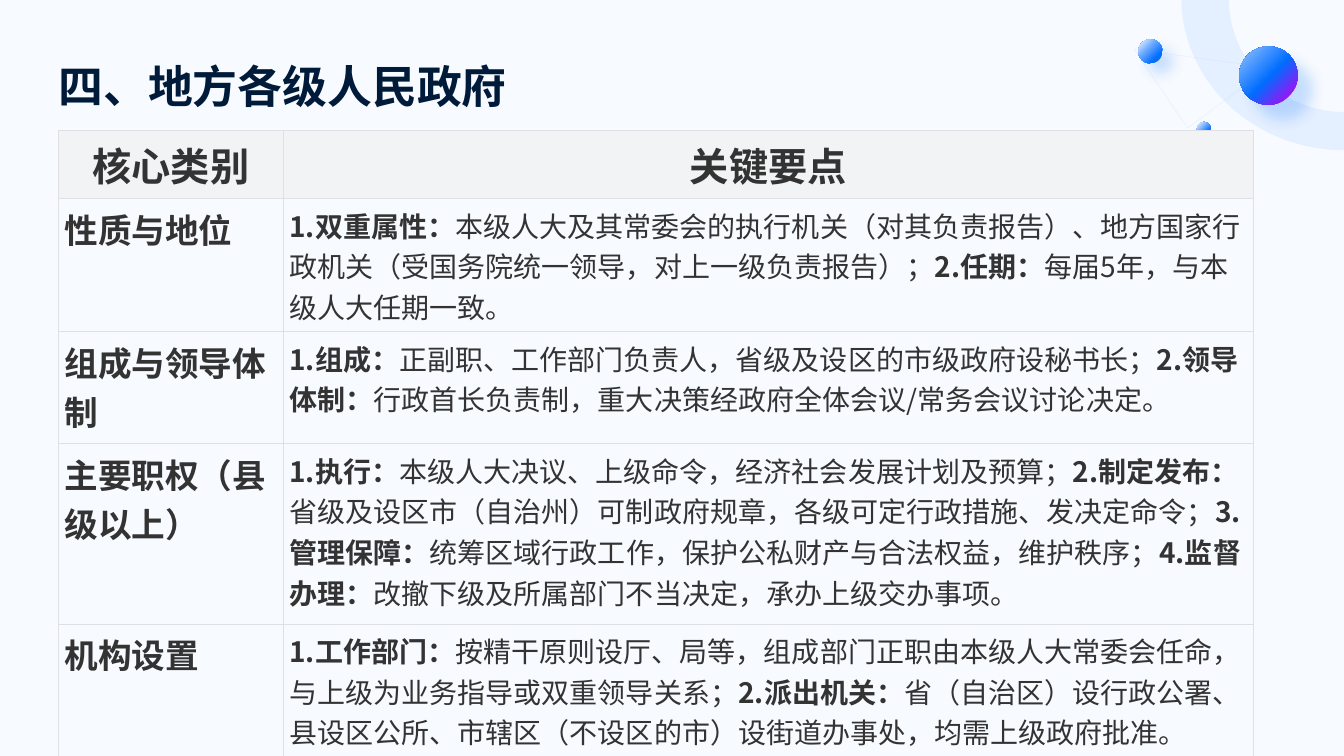
from pptx import Presentation
from pptx.dml.color import RGBColor
from pptx.enum.shapes import MSO_SHAPE
from pptx.enum.text import MSO_ANCHOR, PP_ALIGN
from pptx.oxml import parse_xml
from pptx.oxml.ns import nsdecls, qn
from pptx.util import Inches, Pt

OVAL, RECTANGLE = MSO_SHAPE.OVAL, MSO_SHAPE.RECTANGLE
LEFT, CENTER = PP_ALIGN.LEFT, PP_ALIGN.CENTER
BOTTOM = MSO_ANCHOR.BOTTOM
FONT = "Noto Sans CJK SC"
COLORS = {
    "page": "F7FAFF", "title": "001A3A", "text": "333333",
    "header": "F2F3F5", "border": "DEE0E3", "ring": "99C5FF",
    "pale": "CCE2FF", "sky": "67A8FF", "blue": "016EFF", "purple": "9618F4",
}
NS = nsdecls("a")


def write(frame, *texts, size, color="text", align=LEFT):
    frame.word_wrap = True
    para = frame.paragraphs[0]
    para.alignment = align
    for index, text in enumerate(texts):
        span = para.add_run()
        span.text = text
        font = span.font
        font.name, font.size = FONT, Pt(size)
        font.bold = index % 2 == 0
        font.color.rgb = RGBColor.from_string(COLORS[color])
        span._r.get_or_add_rPr().append(parse_xml(f'<a:ea {NS} typeface="{FONT}"/>'))


def curve(start, first, second, end, steps=32):
    points = []
    for step in range(steps + 1):
        t = step / steps
        weights = ((1 - t) ** 3, 3 * t * (1 - t) ** 2, 3 * t ** 2 * (1 - t), t ** 3)
        points.append(tuple(
            sum(weight * point[axis] for weight, point in zip(weights, (start, first, second, end)))
            for axis in (0, 1)))
    return points


deck = Presentation()
deck.slide_width, deck.slide_height = Inches(13.33), Inches(7.5)
page = deck.slides.add_slide(deck.slide_layouts[6])

backdrop = page.shapes.add_shape(RECTANGLE, 0, 0, deck.slide_width, deck.slide_height)
backdrop.shadow.inherit = False
backdrop.fill.solid()
backdrop.fill.fore_color.rgb = RGBColor.from_string(COLORS["page"])
backdrop.line.fill.background()

triangle = [(11.25, 0.49), (12.58, 0.67), (11.78, 1.27)]
ring = [(11.72, 0), (12.19, 0)]
ring += curve((12.19, 0.05), (12.22, 0.62), (12.69, 1.08), (13.28, 1.11))
ring += [(13.33, 1.11), (13.33, 1.49)]
ring += curve((13.26, 1.49), (12.43, 1.45), (11.77, 0.84), (11.72, 0.07))

for outline, filled in ((triangle, False), (ring, True)):
    points = [(Inches(x), Inches(y)) for x, y in outline]
    builder = page.shapes.build_freeform(*points[0])
    builder.add_line_segments(points[1:], close=True)
    shape = builder.convert_to_shape()
    shape.shadow.inherit = False
    if filled:
        shape.line.fill.background()
        paint, color, alpha = shape.fill, "ring", 20
    else:
        shape.fill.background()
        shape.line.width = Pt(0.25)
        paint, color, alpha = shape.line.fill, "pale", 50
    paint.solid()
    paint.fore_color.rgb = RGBColor.from_string(COLORS[color])
    for tint in shape._element.spPr.iter(qn("a:srgbClr")):
        tint.append(parse_xml(f'<a:alpha {NS} val="{alpha * 1000}"/>'))

BALLS = [
    (12.29, 0.46, 0.58, [(0, "ring"), (52, "blue"), (85, "purple")], 15),
    (11.29, 0.39, 0.24, [(12, "pale"), (40, "sky"), (75, "blue"), (76, "blue")], 10),
    (11.87, 1.21, 0.14, [(13, "pale"), (75, "blue")], None),
]
for left, top, size, stops, distance in BALLS:
    ball = page.shapes.add_shape(OVAL, Inches(left), Inches(top), Inches(size), Inches(size))
    ball.shadow.inherit = False
    ball.line.fill.background()
    properties = ball._element.spPr
    stop_xml = "".join(
        f'<a:gs pos="{position * 1000}"><a:srgbClr val="{COLORS[color]}"/></a:gs>'
        for position, color in stops)
    properties.insert(2, parse_xml(
        f'<a:gradFill {NS} rotWithShape="1"><a:gsLst>{stop_xml}</a:gsLst>'
        '<a:path path="circle"><a:fillToRect r="100000" b="100000"/></a:path></a:gradFill>'))
    if distance:
        properties.find(qn("a:effectLst")).append(parse_xml(
            f'<a:outerShdw {NS} blurRad="{Pt(10)}" dist="{Pt(distance)}" dir="2700000" '
            f'algn="tl" rotWithShape="0"><a:srgbClr val="{COLORS["blue"]}">'
            '<a:alpha val="20000"/></a:srgbClr></a:outerShdw>'))

title = page.shapes.add_textbox(Inches(0.58), Inches(0.33), Inches(8.54), Inches(0.79))
frame = title.text_frame
frame.margin_left = frame.margin_right = frame.margin_top = frame.margin_bottom = 0
frame.vertical_anchor = BOTTOM
write(frame, "四、地方各级人民政府", size=32, color="title")

ROWS = [
    (0.68, "核心类别", ["关键要点"]),
    (1.32, "性质与地位", [
        "1.双重属性：",
        "本级人大及其常委会的执行机关（对其负责报告）、地方国家行政机关（受国务院统一领导，对上一级负责报告）；",
        "2.任期：", "每届5年，与本级人大任期一致。"]),
    (1.11, "组成与领导体制", [
        "1.组成：", "正副职、工作部门负责人，省级及设区的市级政府设秘书长；",
        "2.领导体制：", "行政首长负责制，重大决策经政府全体会议/常务会议讨论决定。"]),
    (1.79, "主要职权（县级以上）", [
        "1.执行：", "本级人大决议、上级命令，经济社会发展计划及预算；",
        "2.制定发布：", "省级及设区市（自治州）可制政府规章，各级可定行政措施、发决定命令；",
        "3.管理保障：", "统筹区域行政工作，保护公私财产与合法权益，维护秩序；",
        "4.监督办理：", "改撤下级及所属部门不当决定，承办上级交办事项。"]),
    (1.45, "机构设置", [
        "1.工作部门：",
        "按精干原则设厅、局等，组成部门正职由本级人大常委会任命，与上级为业务指导或双重领导关系；",
        "2.派出机关：",
        "省（自治区）设行政公署、县设区公所、市辖区（不设区的市）设街道办事处，均需上级政府批准。"]),
]
table_height = Inches(sum(height for height, _, _ in ROWS))
table = page.shapes.add_table(
    len(ROWS), 2, Inches(0.58), Inches(1.29), Inches(11.85), table_height).table
table.horz_banding = False
for column, width in zip(table.columns, (2.23, 9.62)):
    column.width = Inches(width)

for row_index, (height, category, points) in enumerate(ROWS):
    table.rows[row_index].height = Inches(height)
    is_header = row_index == 0
    for column_index, texts in enumerate(([category], points)):
        cell = table.cell(row_index, column_index)
        cell.margin_left = cell.margin_right = Inches(0.06)
        cell.margin_top = cell.margin_bottom = Inches(0.06)
        for side in ("lnL", "lnR", "lnT", "lnB"):
            cell._tc.get_or_add_tcPr().append(parse_xml(
                f'<a:{side} {NS} w="{Pt(0.5)}"><a:solidFill>'
                f'<a:srgbClr val="{COLORS["border"]}"/></a:solidFill></a:{side}>'))
        if is_header:
            cell.fill.solid()
            cell.fill.fore_color.rgb = RGBColor.from_string(COLORS["header"])
        else:
            cell.fill.background()
        write(cell.text_frame, *texts, size=28 if is_header else (24, 20)[column_index],
              align=CENTER if is_header else LEFT)

deck.save("out.pptx")
